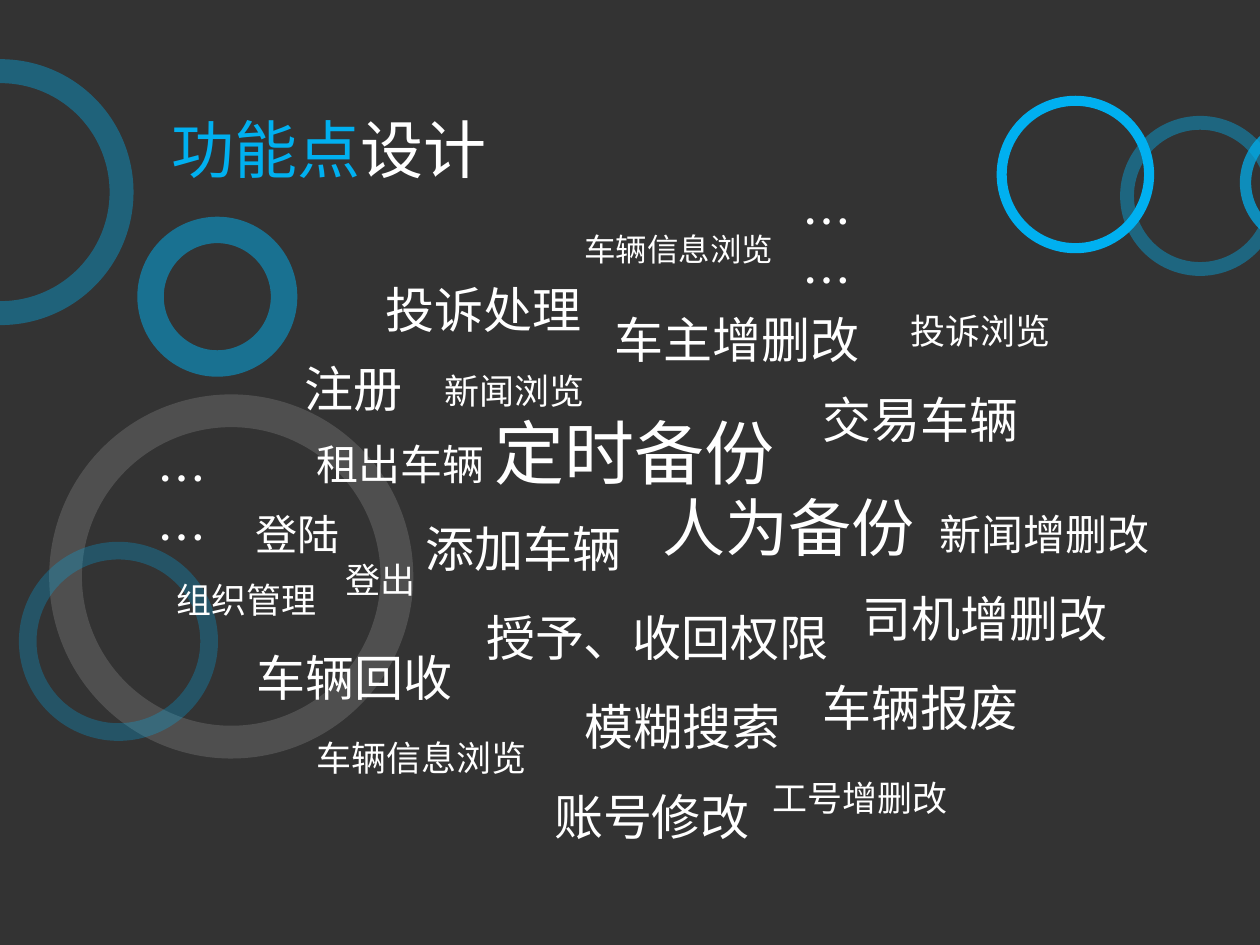
from lxml import etree
from pptx import Presentation
from pptx.dml.color import RGBColor
from pptx.enum.shapes import MSO_SHAPE
from pptx.enum.text import MSO_ANCHOR, MSO_AUTO_SIZE, PP_ALIGN
from pptx.oxml.ns import qn
from pptx.util import Inches, Pt

DONUT = MSO_SHAPE.DONUT
TOP = MSO_ANCHOR.TOP
LEFT = PP_ALIGN.LEFT
GROW = MSO_AUTO_SIZE.SHAPE_TO_FIT_TEXT
TITLE_ONLY = 5

DARK, BLUE, WHITE = "333333", "00B0F0", "FFFFFF"
TITLE_FONT, WORD_FONT = "Noto Sans CJK SC", "Noto Sans CJK JP"

# Rings: left, top, diameter, band thickness, colour, opacity in percent
RINGS = [
    (0.39, 3.13, 2.89, 0.26, WHITE, 14),
    (-1.05, 0.47, 2.11, 0.19, BLUE, 38),
    (0.15, 4.3, 1.58, 0.14, BLUE, 27),
    (1.09, 1.72, 1.27, 0.21, BLUE, 50),
    (8.89, 0.92, 1.27, 0.11, BLUE, 41),
    (7.91, 0.76, 1.25, 0.08, BLUE, 100),
    (9.84, 0.94, 1.02, 0.09, BLUE, 72),
]

TITLE_BOX = (1.26, 0.83, 2.8, 0.7)
TITLE_SIZE = 36
TITLE = [("功能点", BLUE), ("设计", WHITE)]

# Word cloud: text, left, top, width, size
WORDS = [
    ("注册", 2.32, 2.8, 1.21, 28),
    ("登陆", 1.93, 3.99, 0.92, 24),
    ("模糊搜索", 4.54, 5.48, 1.8, 28),
    ("定时备份", 3.83, 3.2, 2.47, 40),
    ("人为备份", 5.16, 3.83, 2.36, 36),
    ("添加车辆", 3.28, 4.07, 1.8, 28),
    ("交易车辆", 6.43, 3.04, 1.8, 28),
    ("租出车辆", 2.41, 3.43, 1.58, 24),
    ("车辆回收", 1.94, 5.09, 1.8, 28),
    ("车辆报废", 6.43, 5.33, 1.8, 28),
    ("车辆信息浏览", 4.54, 1.78, 1.75, 18),
    ("新闻浏览", 3.43, 2.88, 1.36, 20),
    ("新闻增删改", 7.36, 3.99, 1.92, 24),
    ("授予、收回权限", 3.76, 4.77, 2.97, 28),
    ("车主增删改", 4.78, 2.41, 2.19, 28),
    ("工号增删改", 6.03, 6.11, 1.64, 20),
    ("司机增删改", 6.75, 4.62, 2.19, 28),
    ("投诉处理", 2.96, 2.17, 1.8, 28),
    ("投诉浏览", 7.13, 2.41, 1.36, 20),
    ("车辆信息浏览", 2.41, 5.8, 1.92, 20),
    ("账号修改", 4.3, 6.19, 1.8, 28),
    ("登出", 2.64, 4.38, 2.48, 20),
    ("组织管理", 1.3, 4.54, 1.36, 20),
    ("……", 6.27, 1.47, 0.81, 28),
    ("……", 1.15, 3.51, 0.81, 28),
]
HEIGHTS = {18: 0.4, 20: 0.44, 24: 0.5, 28: 0.57, 36: 0.7, 40: 0.77}


def paint(color_format, color):
    color_format.rgb = RGBColor.from_string(color)


def add_ring(page, left, top, diameter, band, color, opacity):
    ring = page.shapes.add_shape(
        DONUT, *map(Inches, (left, top, diameter, diameter)))
    ring.adjustments[0] = band / diameter
    ring.shadow.inherit = False
    ring.line.fill.background()
    ring.fill.solid()
    paint(ring.fill.fore_color, color)
    if opacity < 100:
        tint = ring.fill._xPr.find(".//" + qn("a:srgbClr"))
        etree.SubElement(tint, qn("a:alpha")).set("val", str(opacity * 1000))


def write(box, spans, size, font):
    frame = box.text_frame
    layout = {"word_wrap": True, "auto_size": GROW, "vertical_anchor": TOP}
    for name, value in layout.items():
        setattr(frame, name, value)
    para = frame.paragraphs[0]
    para.alignment = LEFT
    for text, color in spans:
        span = para.add_run()
        span.text = text
        for name, value in {"size": Pt(size), "name": font}.items():
            setattr(span.font, name, value)
        paint(span.font.color, color)
        east_asian = etree.SubElement(span.font._element, qn("a:ea"))
        east_asian.set("typeface", font)


deck = Presentation()
deck.slide_width, deck.slide_height = Inches(10), Inches(7.5)
page = deck.slides.add_slide(deck.slide_layouts[TITLE_ONLY])
page.background.fill.solid()
paint(page.background.fill.fore_color, DARK)

# Decorative rings
for ring in RINGS:
    add_ring(page, *ring)

# Title
title = page.shapes.title
for name, value in zip(("left", "top", "width", "height"), TITLE_BOX):
    setattr(title, name, Inches(value))
write(title, TITLE, TITLE_SIZE, TITLE_FONT)

# Word cloud
for text, left, top, width, size in WORDS:
    box = page.shapes.add_textbox(
        *map(Inches, (left, top, width, HEIGHTS[size])))
    write(box, [(text, WHITE)], size, WORD_FONT)

deck.save("out.pptx")
